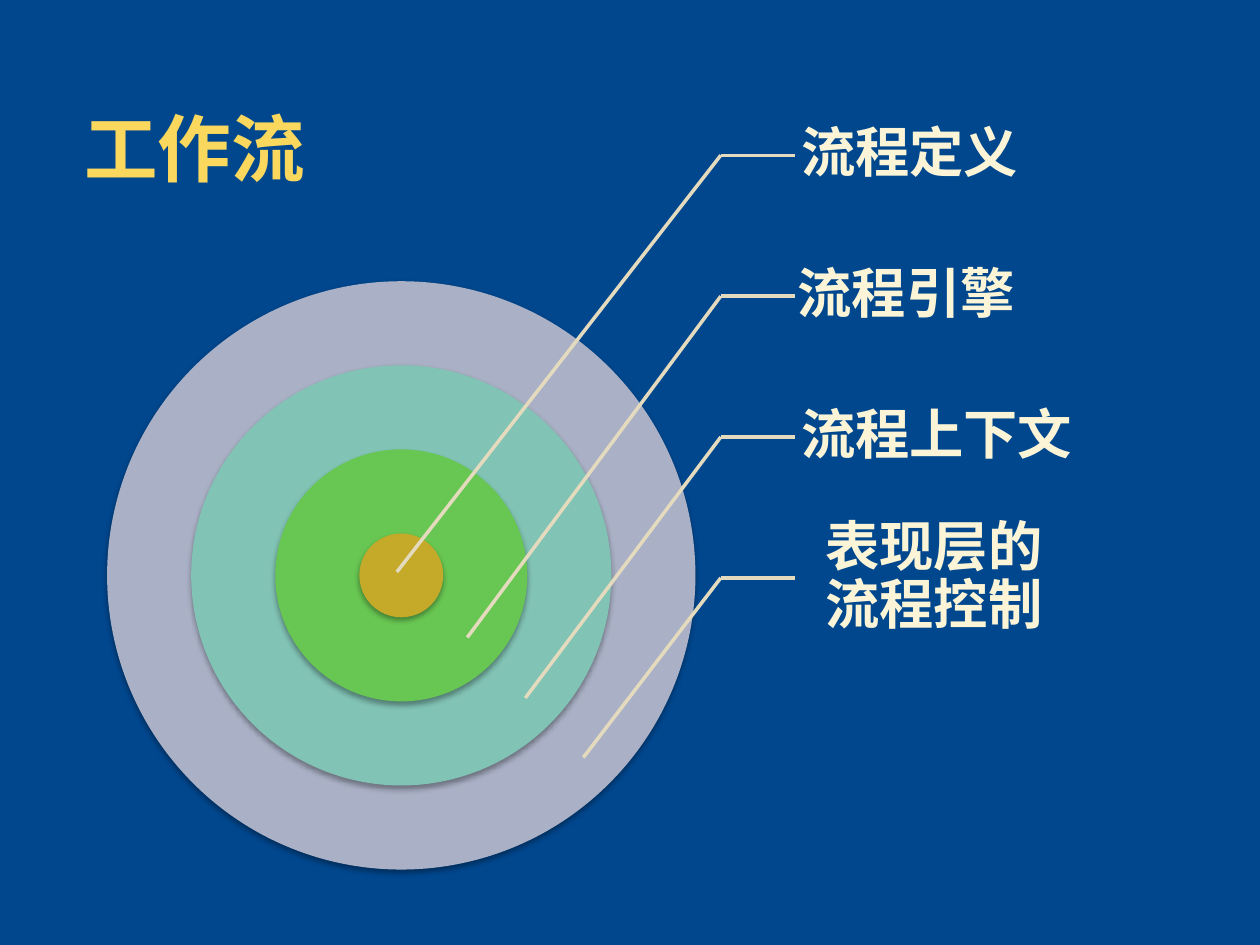
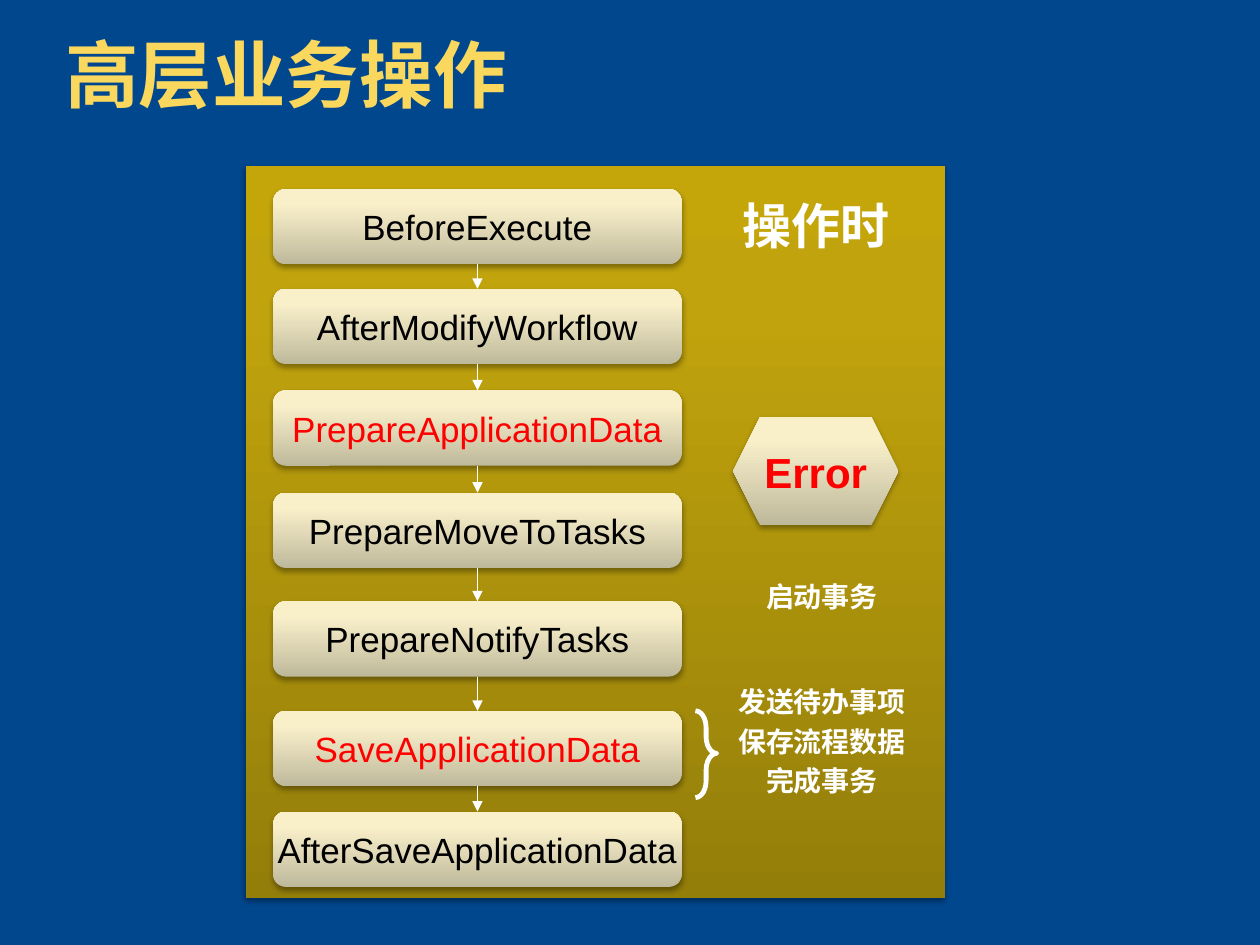
from dataclasses import dataclass
from itertools import pairwise

from lxml.etree import SubElement
from pptx import Presentation
from pptx.dml.color import RGBColor
from pptx.enum.shapes import MSO_CONNECTOR, MSO_SHAPE
from pptx.enum.text import MSO_ANCHOR as Anchor, MSO_AUTO_SIZE as AutoSize, PP_ALIGN as Align
from pptx.oxml.ns import qn
from pptx.util import Cm, Pt

BLUE = RGBColor(0x00, 0x47, 0x8E)
YELLOW = RGBColor(0xF9, 0xD8, 0x5D)
CREAM = RGBColor(0xFB, 0xF4, 0xD6)
SAND = RGBColor(0xE4, 0xDA, 0xBE)
WHITE = RGBColor(0xFF, 0xFF, 0xFF)
BLACK = RGBColor(0x00, 0x00, 0x00)
RED = RGBColor(0xFF, 0x00, 0x00)
LILAC = RGBColor(0xAA, 0xB1, 0xC6)
TEAL = RGBColor(0x81, 0xC3, 0xB4)
GREEN = RGBColor(0x68, 0xC6, 0x52)
OCHRE = RGBColor(0xC4, 0xAA, 0x28)

# Gradient stops run from bottom to top: (percent, colour).
GOLD_FADE = [(0, RGBColor(0x94, 0x7E, 0x0A)), (80, RGBColor(0xC0, 0xA3, 0x0D)),
             (100, RGBColor(0xC4, 0xA6, 0x0A))]
CREAM_FADE = [(0, RGBColor(0xBF, 0xB9, 0x9C)), (80, RGBColor(0xF9, 0xF0, 0xCA)),
              (100, RGBColor(0xFB, 0xF1, 0xCA))]

FONT = "Arial"
TITLE = {"size": Pt(42), "bold": True, "color": YELLOW}
LABEL = {"size": Pt(31), "bold": True, "color": CREAM}
HEADING = {"size": Pt(28), "bold": True, "color": WHITE}
NOTE = {"size": Pt(16), "bold": True, "color": WHITE}
ERROR = {"size": Pt(24), "bold": True, "color": RED}
STEP = {"size": Pt(20), "bold": False, "color": BLACK}
CUSTOM_STEP = STEP | {"color": RED}

LABEL_FRAME = {"vertical_anchor": Anchor.MIDDLE, "margin_left": Cm(0.61),
               "margin_right": Cm(0.1), "margin_top": Cm(0.1), "margin_bottom": Cm(0.1)}
TITLE_FRAME = {"vertical_anchor": Anchor.MIDDLE, "auto_size": AutoSize.SHAPE_TO_FIT_TEXT}
NOTE_FRAME = {"auto_size": AutoSize.SHAPE_TO_FIT_TEXT}
SHAPE_FRAME = {"vertical_anchor": Anchor.MIDDLE, "word_wrap": False}


@dataclass
class Area:
    """A rectangle in centimetres."""
    left: float
    top: float
    width: float
    height: float

    def lengths(self) -> list:
        """Return the four sides as lengths."""
        return [Cm(side) for side in (self.left, self.top, self.width, self.height)]


@dataclass
class Layer:
    """A ring of the target with its label and the point its leader touches."""
    text: str
    color: RGBColor
    label_left: float
    label_width: float
    target: tuple[float, float]


@dataclass
class Stage:
    """One step in the operation chain."""
    text: str
    top: float
    style: dict


def write(shape, text: str, style: dict, frame_values: dict, align=Align.LEFT, spacing=1.0):
    """Put one formatted paragraph into a shape or text box."""
    frame = shape.text_frame
    for name, value in ({"word_wrap": True} | frame_values).items():
        setattr(frame, name, value)
    para = frame.paragraphs[0]
    para.alignment, para.line_spacing = align, spacing
    span = para.add_run()
    span.text = text
    span.font.name = FONT
    span.font.color.rgb = style["color"]
    for name in ("size", "bold"):
        setattr(span.font, name, style[name])


def add_text(page, area: Area, text: str, style: dict, frame_values: dict, **layout):
    """Add a text box."""
    write(page.shapes.add_textbox(*area.lengths()), text, style, frame_values, **layout)


def add_shadow(shape):
    """Give a shape a soft shadow straight below it."""
    shape.shadow.inherit = False
    effects = shape._element.spPr.find(qn("a:effectLst"))
    shadow = SubElement(effects, qn("a:outerShdw"), blurRad="40000", dist="23000",
                        dir="5400000", rotWithShape="0")
    color = SubElement(shadow, qn("a:srgbClr"), val=str(BLACK))
    SubElement(color, qn("a:alpha"), val="35000")


def add_solid(page, kind, area: Area, paint):
    """Add a shadowed shape filled with one colour or a list of gradient stops."""
    shape = page.shapes.add_shape(kind, *area.lengths())
    shape.line.fill.background()
    if isinstance(paint, RGBColor):
        shape.fill.solid()
        shape.fill.fore_color.rgb = paint
    else:
        shape.fill.gradient()
        shape.fill.gradient_angle = 90
        stops = shape._element.spPr.find(qn("a:gradFill")).find(qn("a:gsLst"))
        for stop in list(stops):
            stops.remove(stop)
        for percent, color in paint:
            stop = SubElement(stops, qn("a:gs"), pos=str(percent * 1000))
            SubElement(stop, qn("a:srgbClr"), val=str(color))
    add_shadow(shape)
    return shape


def add_line(page, start: tuple, end: tuple, color: RGBColor, width: float, arrow=False):
    """Add a straight line, with an arrowhead at its end if wanted."""
    line = page.shapes.add_connector(MSO_CONNECTOR.STRAIGHT, *map(Cm, start + end))
    line.line.color.rgb = color
    line.line.width = Pt(width)
    if arrow:
        SubElement(line.line._get_or_add_ln(), qn("a:tailEnd"), type="triangle")
    SubElement(line._element.spPr, qn("a:effectLst"))


def add_page(deck, title: str, title_area: Area):
    """Add a blue page with its title."""
    page = deck.slides.add_slide(deck.slide_layouts[6])
    page.background.fill.solid()
    page.background.fill.fore_color.rgb = BLUE
    add_text(page, title_area, title, TITLE, TITLE_FRAME, spacing=0.9)
    return page


def build_workflow(deck):
    """Draw the target of four workflow layers and their labels."""
    page = add_page(deck, "工作流", Area(1.45, 2.13, 22.05, 1.88))
    layers = [  # from the core outwards
        Layer("流程定义", OCHRE, 15.54, 6.86, (8.0, 11.53)),
        Layer("流程引擎", GREEN, 15.47, 7.01, (9.42, 12.85)),
        Layer("流程上下文", TEAL, 15.54, 8.13, (10.59, 14.07)),
        Layer("表现层的流程控制", LILAC, 16.03, 5.94, (11.76, 15.27)),
    ]
    center_x, center_y = 8.09, 11.6
    core, ring_step = 1.69, 3.39
    for index, layer in reversed(list(enumerate(layers))):
        size = core + ring_step * index
        area = Area(center_x - size / 2, center_y - size / 2, size, size)
        add_solid(page, MSO_SHAPE.OVAL, area, layer.color)

    first_y, row_step, label_height = 3.13, 2.84, 2.84
    elbow_x, label_x = 14.53, 16.03
    for index, layer in enumerate(layers):
        y = first_y + row_step * index
        area = Area(layer.label_left, y - label_height / 2, layer.label_width, label_height)
        add_text(page, area, layer.text, LABEL, LABEL_FRAME, spacing=0.9)
        for end in ((label_x, y), layer.target):
            add_line(page, (elbow_x, y), end, SAND, 2)


def build_operations(deck):
    """Draw the chain of operation steps with its side notes."""
    page = add_page(deck, "高层业务操作", Area(1.07, 0.64, 20.85, 1.88))
    add_solid(page, MSO_SHAPE.RECTANGLE, Area(4.95, 3.35, 14.1, 14.76), GOLD_FADE)

    stages = [
        Stage("BeforeExecute", 3.81, STEP),
        Stage("AfterModifyWorkflow", 5.82, STEP),
        Stage("PrepareApplicationData", 7.87, CUSTOM_STEP),
        Stage("PrepareMoveToTasks", 9.93, STEP),
        Stage("PrepareNotifyTasks", 12.12, STEP),
        Stage("SaveApplicationData", 14.33, CUSTOM_STEP),
        Stage("AfterSaveApplicationData", 16.36, STEP),
    ]
    left, width, height = 5.51, 8.23, 1.52
    for stage in stages:
        box = add_solid(page, MSO_SHAPE.FLOWCHART_ALTERNATE_PROCESS,
                        Area(left, stage.top, width, height), CREAM_FADE)
        write(box, stage.text, stage.style, SHAPE_FRAME, align=Align.CENTER)
    middle = left + width / 2
    for upper, lower in pairwise(stages):
        add_line(page, (middle, upper.top + height), (middle, lower.top), WHITE, 1, arrow=True)

    error = add_solid(page, MSO_SHAPE.HEXAGON, Area(14.78, 8.41, 3.33, 2.18), CREAM_FADE)
    write(error, "Error", ERROR, SHAPE_FRAME, align=Align.CENTER)

    brace = page.shapes.add_shape(MSO_SHAPE.RIGHT_BRACE, *Area(14.02, 14.33, 0.43, 1.75).lengths())
    brace.shadow.inherit = False
    brace.fill.background()
    brace.line.color.rgb = WHITE
    brace.line.width = Pt(2.75)
    brace.adjustments[0], brace.adjustments[1] = 0.78, 0.49

    add_text(page, Area(14.48, 3.81, 3.94, 1.45), "操作时", HEADING, NOTE_FRAME, align=Align.CENTER)
    notes = [("启动事务", 11.56), ("发送待办事项", 13.67), ("保存流程数据", 14.48), ("完成事务", 15.27)]
    for text, top in notes:
        add_text(page, Area(14.6, top, 3.94, 0.94), text, NOTE, NOTE_FRAME, align=Align.CENTER)


def main():
    """Build and save the deck."""
    deck = Presentation()
    deck.slide_width, deck.slide_height = Cm(25.4), Cm(19.05)
    build_workflow(deck)
    build_operations(deck)
    deck.save("out.pptx")


main()
